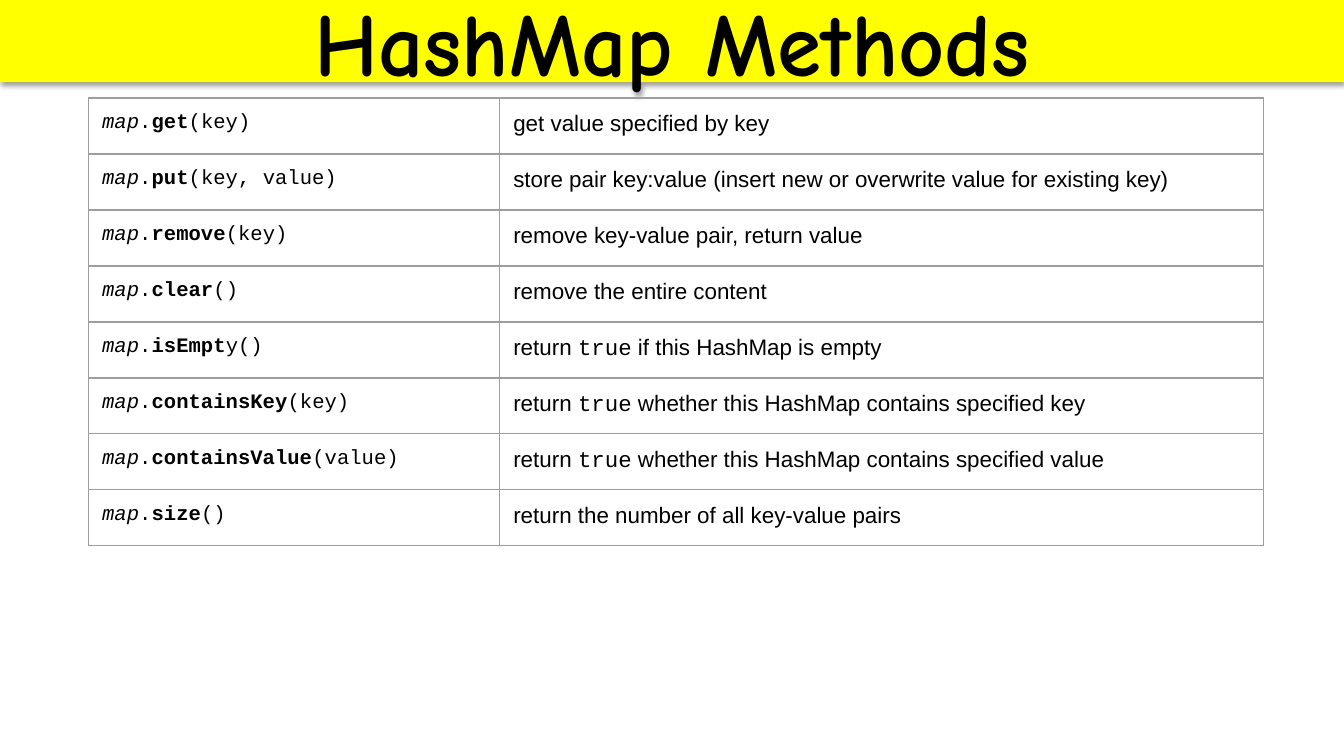
from lxml.etree import SubElement
from pptx import Presentation
from pptx.dml.color import RGBColor
from pptx.enum.text import MSO_ANCHOR as Anchor, MSO_AUTO_SIZE as AutoSize, PP_ALIGN as Align
from pptx.oxml import parse_xml
from pptx.oxml.ns import nsdecls, qn
from pptx.util import Pt

BLACK = RGBColor(0x00, 0x00, 0x00)
YELLOW = RGBColor(0xFF, 0xFF, 0x00)
GRAY = RGBColor(0x9E, 0x9E, 0x9E)

SANS, CODE, HEADING = "Arial", "Courier New", "Comic Neue"
WIDTH, HEIGHT = 720, 405

# method name, rest of the call, description as (text, font) parts
METHODS = [
    ("get", "(key)", [("get value specified by key", SANS)]),
    ("put", "(key, value)",
     [("store pair key:value (insert new or overwrite value for existing key)", SANS)]),
    ("remove", "(key)", [("remove key-value pair, return value", SANS)]),
    ("clear", "()", [("remove the entire content", SANS)]),
    ("isEmpt", "y()",
     [("return ", SANS), ("true", CODE), (" if this HashMap is empty", SANS)]),
    ("containsKey", "(key)",
     [("return ", SANS), ("true", CODE),
      (" whether this HashMap contains specified key", SANS)]),
    ("containsValue", "(value)",
     [("return ", SANS), ("true", CODE),
      (" whether this HashMap contains specified value", SANS)]),
    ("size", "()", [("return the number of all key-value pairs", SANS)]),
]


def add_text(paragraph, text, font=SANS, size=12, bold=False, italic=False, color=BLACK):
    run = paragraph.add_run()
    run.text = text
    run.font.name = font
    run.font.size = Pt(size)
    run.font.bold = bold
    run.font.italic = italic
    run.font.color.rgb = color


class SlideBuilder:
    margin = Pt(7.2)
    space_after = Pt(16)
    border_color = GRAY
    border_width = Pt(0.75)

    def __init__(self, slide):
        self.slide = slide

    def banner(self, text, height):
        title = self.slide.shapes.title
        title.left, title.top = Pt(0), Pt(0)
        title.width, title.height = Pt(WIDTH), Pt(height)
        title.fill.solid()
        title.fill.fore_color.rgb = YELLOW
        title.line.fill.background()
        # Soft shadow below the banner
        title.element.spPr.append(parse_xml(
            f'<a:effectLst {nsdecls("a")}>'
            f'<a:outerShdw blurRad="{Pt(3.1)}" dist="{Pt(1.6)}" dir="5400000" rotWithShape="0">'
            f'<a:srgbClr val="{BLACK}"><a:alpha val="38000"/></a:srgbClr>'
            '</a:outerShdw></a:effectLst>'))
        frame = title.text_frame
        frame.auto_size = AutoSize.NONE
        frame.word_wrap = True
        frame.vertical_anchor = Anchor.MIDDLE
        heading = frame.paragraphs[0]
        heading.alignment = Align.CENTER
        add_text(heading, text, font=HEADING, size=48, bold=True)

    def table(self, left, top, column_widths, row_height, row_count):
        table = self.slide.shapes.add_table(
            row_count, len(column_widths), Pt(left), Pt(top),
            Pt(sum(column_widths)), Pt(row_height * row_count)).table
        table.first_row = table.horz_banding = False
        for column, width in zip(table.columns, column_widths):
            column.width = Pt(width)
        for cell in table.iter_cells():
            self.style_cell(cell)
        return table

    def style_cell(self, cell):
        cell.margin_left = cell.margin_right = self.margin
        cell.margin_top = cell.margin_bottom = self.margin
        cell.vertical_anchor = Anchor.TOP
        cell.text_frame.paragraphs[0].space_after = self.space_after
        # Borders come before the fill in the cell properties
        properties = cell._tc.get_or_add_tcPr()
        for side in ("lnL", "lnR", "lnT", "lnB"):
            border = SubElement(properties, qn(f"a:{side}"), w=str(self.border_width))
            border_fill = SubElement(border, qn("a:solidFill"))
            SubElement(border_fill, qn("a:srgbClr"), val=str(self.border_color))
        cell.fill.background()

    def method_row(self, table, row, name, rest, description):
        call = table.cell(row, 0).text_frame.paragraphs[0]
        add_text(call, "map", font=CODE, size=11, italic=True)
        add_text(call, ".", font=CODE, size=11)
        add_text(call, name, font=CODE, size=11, bold=True)
        add_text(call, rest, font=CODE, size=11)
        meaning = table.cell(row, 1).text_frame.paragraphs[0]
        for text, font in description:
            add_text(meaning, text, font=font)


def main():
    deck = Presentation()
    deck.slide_width, deck.slide_height = Pt(WIDTH), Pt(HEIGHT)
    title_only = deck.slide_layouts[5]
    builder = SlideBuilder(deck.slides.add_slide(title_only))

    # Title banner
    builder.banner("HashMap Methods", height=44)

    # Table of methods
    methods = builder.table(left=47.5, top=52.5, column_widths=(220.3, 409),
                            row_height=30, row_count=len(METHODS))
    for row, (name, rest, description) in enumerate(METHODS):
        builder.method_row(methods, row, name, rest, description)

    deck.save("out.pptx")


if __name__ == "__main__":
    main()
